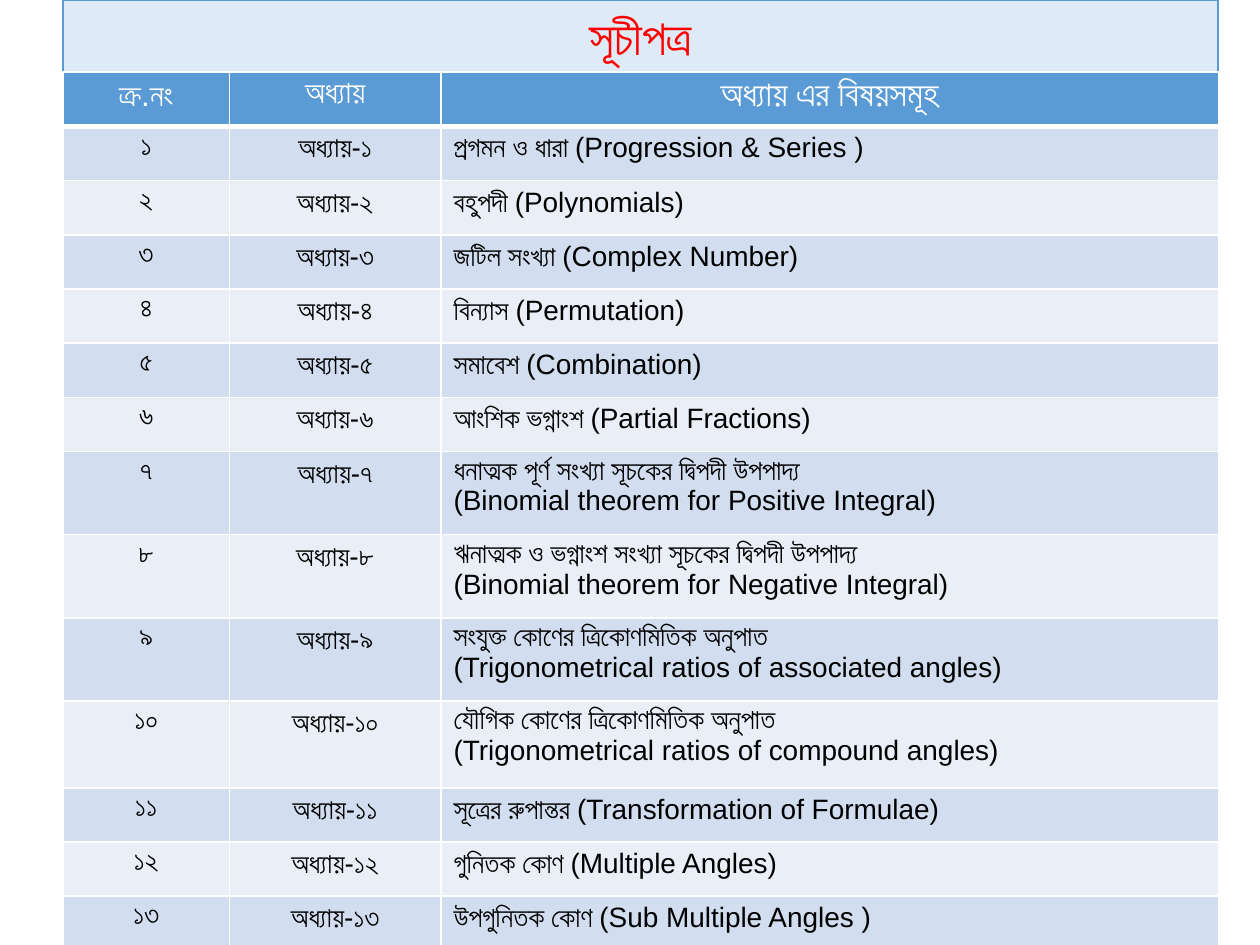
"""Build a Bengali table-of-contents slide with a title bar and a chapter table."""
from dataclasses import dataclass

from lxml import etree
from pptx import Presentation
from pptx.dml.color import RGBColor
from pptx.enum import shapes, text
from pptx.oxml import ns
from pptx.util import Inches, Pt


@dataclass(frozen=True)
class Theme:
    font: str = "Arial"
    title_size: int = 28
    topic_head_size: int = 20
    head_size: int = 18
    body_size: int = 16
    title_ink: str = "FF0000"
    title_fill: str = "DEEBF7"
    accent: str = "5B9BD5"
    white: str = "FFFFFF"
    black: str = "000000"
    bands: tuple[str, str] = ("D2DEEF", "EAEFF7")


@dataclass(frozen=True)
class Chapter:
    topic: str
    height: float = 0.43


@dataclass(frozen=True)
class Style:
    size: int
    ink: str
    align: text.PP_ALIGN = text.PP_ALIGN.CENTER


THEME = Theme()
LEFT, WIDTH, TITLE_HEIGHT, ROW_HEIGHT = 0.5, 9.17, 0.57, 0.43
COLUMNS = (1.32, 1.68, 6.17)
HEADINGS = (
    ("ক্র.নং", THEME.head_size),
    ("অধ্যায়", THEME.head_size),
    ("অধ্যায় এর বিষয়সমূহ", THEME.topic_head_size),
)
CHAPTERS = (
    Chapter("প্রগমন ও ধারা (Progression & Series )"),
    Chapter("বহুপদী (Polynomials)"),
    Chapter("জটিল সংখ্যা (Complex Number)"),
    Chapter("বিন্যাস (Permutation)"),
    Chapter("সমাবেশ (Combination)"),
    Chapter("আংশিক ভগ্নাংশ (Partial Fractions)"),
    Chapter("ধনাত্মক পূর্ণ সংখ্যা সূচকের দ্বিপদী উপপাদ্য\n(Binomial theorem for Positive Integral)", 0.66),
    Chapter("ঋনাত্মক ও ভগ্নাংশ সংখ্যা সূচকের দ্বিপদী উপপাদ্য\n(Binomial theorem for Negative Integral)", 0.66),
    Chapter("সংযুক্ত কোণের ত্রিকোণমিতিক অনুপাত\n(Trigonometrical ratios of associated angles)", 0.66),
    Chapter("যৌগিক কোণের ত্রিকোণমিতিক অনুপাত\n(Trigonometrical ratios of compound angles)", 0.69),
    Chapter("সূত্রের রুপান্তর (Transformation of Formulae)"),
    Chapter("গুনিতক কোণ (Multiple Angles)"),
    Chapter("উপগুনিতক কোণ (Sub Multiple Angles )"),
)
BENGALI_DIGITS = str.maketrans("0123456789", "০১২৩৪৫৬৭৮৯")


def write(frame, words: str, style: Style) -> None:
    frame.text = words
    for para in frame.paragraphs:
        para.alignment = style.align
        for span in para.runs:
            formats = {"name": THEME.font, "size": Pt(style.size), "bold": False}
            for name, value in formats.items():
                setattr(span.font, name, value)
            span.font.color.rgb = RGBColor.from_string(style.ink)


def paint(target, colour: str) -> None:
    target.fill.solid()
    target.fill.fore_color.rgb = RGBColor.from_string(colour)


def add_borders(cell, bottom: float) -> None:
    properties = cell._tc.get_or_add_tcPr()
    sides = {"lnL": 1, "lnR": 1, "lnT": 1, "lnB": bottom}
    for position, (side, points) in enumerate(sides.items()):
        line = etree.Element(ns.qn(f"a:{side}"), w=str(Pt(points)))
        solid = etree.SubElement(line, ns.qn("a:solidFill"))
        etree.SubElement(solid, ns.qn("a:srgbClr"), val=THEME.white)
        properties.insert(position, line)


def draw_cell(cell, words: str, style: Style, fill: str, bottom: float = 1) -> None:
    write(cell.text_frame, words, style)
    paint(cell, fill)
    add_borders(cell, bottom)


def draw_title(page) -> None:
    box = page.shapes.add_shape(
        shapes.MSO_SHAPE.RECTANGLE, Inches(LEFT), Inches(0), Inches(WIDTH), Inches(TITLE_HEIGHT)
    )
    box.shadow.inherit = False
    paint(box, THEME.title_fill)
    box.line.color.rgb = RGBColor.from_string(THEME.accent)
    box.line.width = Pt(1)
    formats = {"word_wrap": True, "auto_size": text.MSO_AUTO_SIZE.SHAPE_TO_FIT_TEXT}
    for name, value in formats.items():
        setattr(box.text_frame, name, value)
    write(box.text_frame, "সূচীপত্র", Style(THEME.title_size, THEME.title_ink))


def draw_contents(page) -> None:
    heights = [ROW_HEIGHT, *(chapter.height for chapter in CHAPTERS)]
    table = page.shapes.add_table(
        len(heights), len(COLUMNS), Inches(LEFT), Inches(TITLE_HEIGHT), Inches(WIDTH), Inches(sum(heights))
    ).table
    for column, width in zip(table.columns, COLUMNS):
        column.width = Inches(width)
    for row, height in zip(table.rows, heights):
        row.height = Inches(height)
    for index, (words, size) in enumerate(HEADINGS):
        draw_cell(table.cell(0, index), words, Style(size, THEME.white), THEME.accent, 3)

    centred = Style(THEME.body_size, THEME.black)
    leading = Style(THEME.body_size, THEME.black, text.PP_ALIGN.LEFT)
    for number, chapter in enumerate(CHAPTERS, start=1):
        digits = str(number).translate(BENGALI_DIGITS)
        entries = ((digits, centred), (f"অধ্যায়-{digits}", centred), (chapter.topic, leading))
        fill = THEME.bands[(number - 1) % 2]
        for index, (words, style) in enumerate(entries):
            draw_cell(table.cell(number, index), words, style, fill)


def main() -> None:
    deck = Presentation()
    deck.slide_width, deck.slide_height = Inches(10), Inches(7.5)
    page = deck.slides.add_slide(deck.slide_layouts[6])
    draw_title(page)
    draw_contents(page)
    deck.save("out.pptx")


if __name__ == "__main__":
    main()
